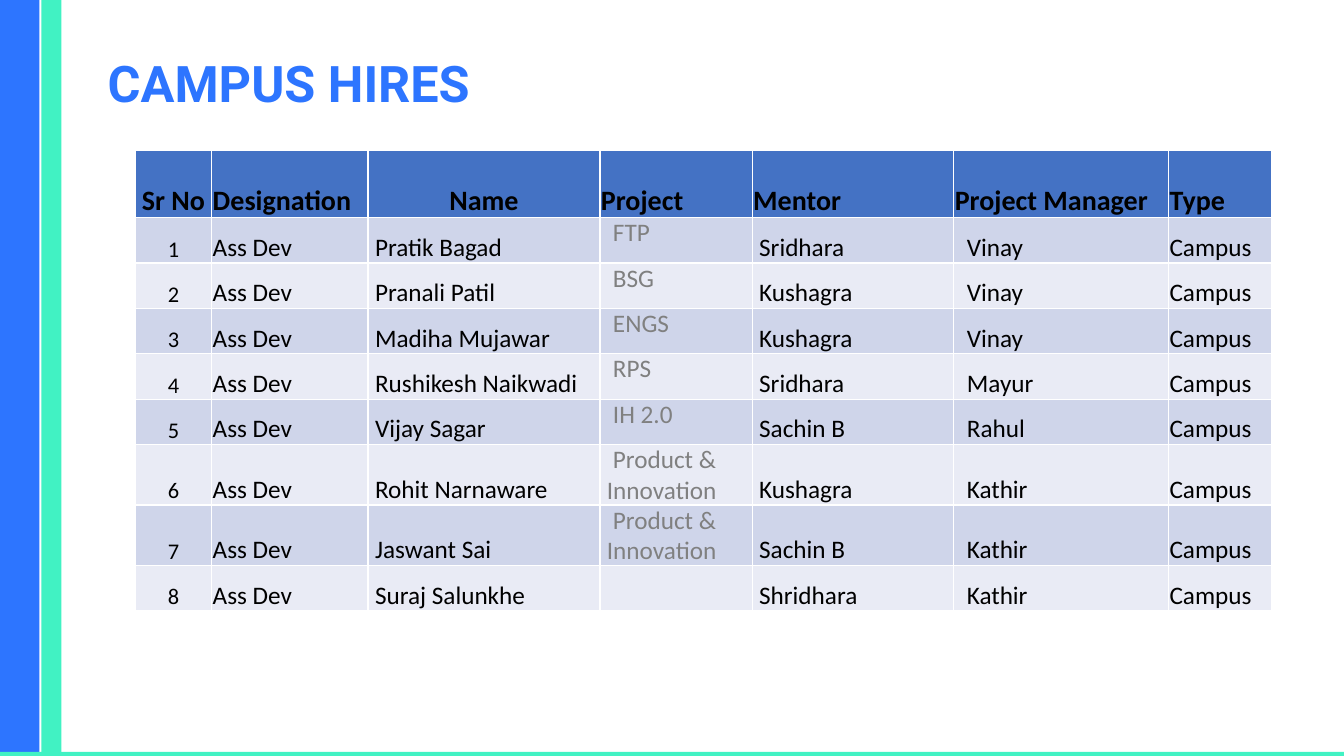
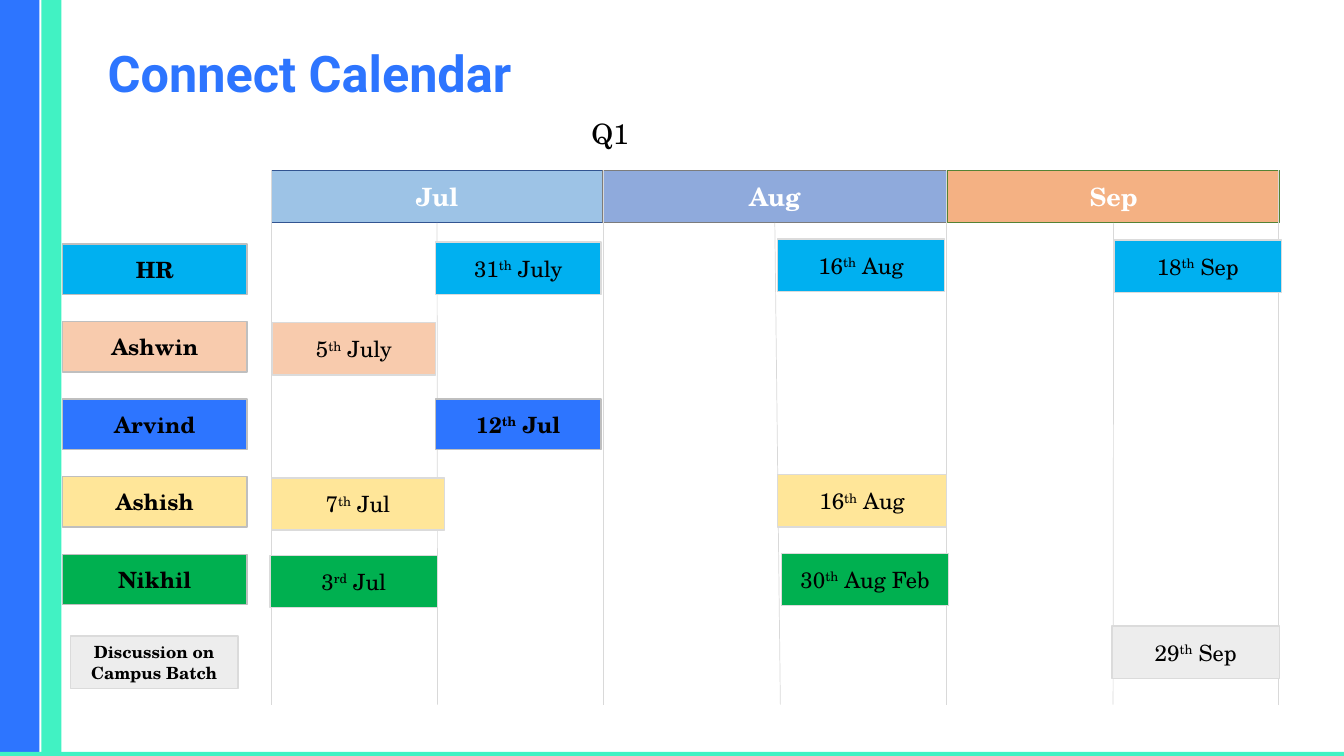
import dataclasses

import pptx
import pptx.dml.color
import pptx.enum.shapes
import pptx.enum.text
import pptx.oxml
import pptx.oxml.ns
import pptx.util

Inches = pptx.util.Inches
ALIGN = pptx.enum.text.PP_ALIGN
ANCHOR = pptx.enum.text.MSO_ANCHOR


@dataclasses.dataclass(frozen=True)
class Theme:
    blue: str = "2D75FF"
    mint: str = "41F2C3"
    white: str = "FFFFFF"
    black: str = "000000"
    gray: str = "808080"
    header: str = "4472C4"
    stripes: tuple = ("CFD5EA", "E9EBF5")
    grid: str = "D9D9D9"
    name_line: str = "BFBFBF"
    event_line: str = "DBDBDB"
    sky: str = "00B0F0"
    peach: str = "F8CBAD"
    yellow: str = "FFE699"
    green: str = "00B050"
    silver: str = "EDEDED"
    title_font: str = "Roboto"
    table_font: str = "Calibri"
    calendar_font: str = "TeX Gyre Schola"
    title_size: int = 36
    large: int = 20
    medium: int = 18
    small: int = 16
    note: int = 12


theme = Theme()


def rgb(code):
    return pptx.dml.color.RGBColor.from_string(code)


def write(frame, parts, font, size, color=theme.black, bold=False, align=ALIGN.CENTER):
    """Fill the first paragraph with one run per part; a second part is superscript."""
    para = frame.paragraphs[0]
    para.alignment = align
    for index, part in enumerate(parts):
        span = para.add_run()
        span.text = part
        span.font.name = font
        span.font.size = pptx.util.Pt(size)
        span.font.bold = bold
        span.font.color.rgb = rgb(color)
        if index == 1:
            span._r.get_or_add_rPr().set("baseline", "30000")
    return para


deck = pptx.Presentation()
deck.slide_width, deck.slide_height = Inches(13.33), Inches(7.5)
pages = []

# Bands and titles
bands = [
    (0, 0, 0.39, 7.5, theme.blue),
    (0.41, 0, 0.2, 7.5, theme.mint),
    (0, 7.46, 13.33, 0.04, theme.mint),
]
for title, title_top in [("CAMPUS HIRES", 0.35), ("Connect Calendar", 0.26)]:
    page = deck.slides.add_slide(deck.slide_layouts[6])
    pages.append(page)
    for left, top, width, height, color in bands:
        band = page.shapes.add_shape(
            pptx.enum.shapes.MSO_SHAPE.RECTANGLE,
            Inches(left), Inches(top), Inches(width), Inches(height))
        band.shadow.inherit = False
        band.fill.solid()
        band.fill.fore_color.rgb = rgb(color)
        band.line.fill.background()
    box = page.shapes.add_textbox(Inches(0.97), Inches(title_top), Inches(6.78), Inches(0.82))
    box.text_frame.word_wrap = True
    box.text_frame.vertical_anchor = ANCHOR.BOTTOM
    para = write(box.text_frame, [title], theme.title_font, theme.title_size,
                 theme.blue, True, ALIGN.LEFT)
    para.line_spacing = 0.9

hires_page, calendar_page = pages

# Campus hires table
headings = ["Sr No", "Designation", "Name", "Project", "Mentor", "Project Manager", "Type"]
hires = [
    ("Pratik Bagad", "FTP", "Sridhara", "Vinay"),
    ("Pranali Patil", "BSG", "Kushagra", "Vinay"),
    ("Madiha Mujawar", "ENGS", "Kushagra", "Vinay"),
    ("Rushikesh Naikwadi", "RPS", "Sridhara", "Mayur"),
    ("Vijay Sagar", "IH 2.0", "Sachin B", "Rahul"),
    ("Rohit Narnaware", "Product & Innovation", "Kushagra", "Kathir"),
    ("Jaswant Sai", "Product & Innovation", "Sachin B", "Kathir"),
    ("Suraj Salunkhe", "", "Shridhara", "Kathir"),
]
rows = [headings] + [
    (str(number), "Ass Dev", *hire, "Campus") for number, hire in enumerate(hires, 1)]
widths = [0.76, 1.55, 2.3, 1.51, 2, 2.13, 1.02]
number_column, name_column, project_column, manager_column = 0, 2, 3, 5

table = hires_page.shapes.add_table(
    len(rows), len(headings), Inches(1.34), Inches(1.49),
    Inches(sum(widths)), Inches(4.27)).table
for column, width in zip(table.columns, widths):
    column.width = Inches(width)
for row_index, values in enumerate(rows):
    is_header = row_index == 0
    table.rows[row_index].height = Inches(0.67 if is_header else 0.45)
    for column_index, value in enumerate(values):
        cell = table.cell(row_index, column_index)
        cell.fill.solid()
        cell.fill.fore_color.rgb = rgb(
            theme.header if is_header else theme.stripes[(row_index - 1) % 2])
        padded = not is_header and name_column <= column_index <= manager_column
        is_project = not is_header and column_index == project_column
        cell.margin_left = cell.margin_right = Inches(0.07 if padded else 0.01)
        cell.margin_top = Inches(0 if padded else 0.01)
        cell.margin_bottom = 0
        cell.vertical_anchor = ANCHOR.TOP if is_project else ANCHOR.BOTTOM
        if not value:
            continue
        is_number = column_index == number_column
        centered = is_number or (is_header and column_index == name_column)
        size = theme.large if is_header else theme.small if is_number else theme.medium
        para = write(cell.text_frame, [value], theme.table_font, size,
                     theme.gray if is_project else theme.black, is_header,
                     ALIGN.CENTER if centered else ALIGN.LEFT)
        if is_project or (padded and column_index == manager_column):
            para._p.get_or_add_pPr().set("indent", str(Inches(0.06)))

# Calendar: month headers, name labels, then events over the grid
months = [
    (2.69, 1.69, 3.29, 0.52, "9DC3E6", "325491", ["Jul"], theme.medium, theme.white, True),
    (5.98, 1.69, 3.41, 0.52, "8FAADC", "7C7C7C", ["Aug"], theme.medium, theme.white, True),
    (9.4, 1.69, 3.29, 0.52, "F4B183", "548235", ["Sep"], theme.medium, theme.white, True),
]
people = [("HR", theme.sky), ("Ashwin", theme.peach), ("Arvind", theme.blue),
          ("Ashish", theme.yellow), ("Nikhil", theme.green)]
labels = [
    (0.62, 2.42 + 0.77 * index, 1.83, 0.5, color, theme.name_line, [name],
     theme.small, theme.black, True)
    for index, (name, color) in enumerate(people)]
labels.append((0.7, 6.31, 1.66, 0.52, theme.silver, theme.event_line,
               ["Discussion on Campus Batch"], theme.note, theme.black, True))
dates = [
    (4.32, 2.4, 1.64, theme.sky, ["31", "th", " July"]),
    (7.71, 2.37, 1.66, theme.sky, ["16", "th", " Aug"]),
    (11.05, 2.38, 1.66, theme.sky, ["18", "th", " Sep"]),
    (2.7, 3.2, 1.62, theme.peach, ["5", "th", " July"]),
    (2.69, 4.74, 1.72, theme.yellow, ["7", "th", " Jul"]),
    (7.71, 4.71, 1.68, theme.yellow, ["16", "th", " Aug"]),
    (2.68, 5.51, 1.66, theme.green, ["3", "rd", " Jul"]),
    (7.75, 5.49, 1.66, theme.green, ["30", "th", " Aug Feb"]),
    (11.03, 6.21, 1.66, theme.silver, ["29", "th", " Sep"]),
]
events = [
    (left, top, width, 0.52, color, theme.event_line, parts, theme.small, theme.black, False)
    for left, top, width, color, parts in dates]
events.append((4.32, 3.96, 1.64, 0.5, theme.blue, theme.name_line,
               ["12", "th", " Jul"], theme.small, theme.black, True))

quarter = calendar_page.shapes.add_textbox(
    Inches(2.96), Inches(1.11), Inches(6.18), Inches(0.44))
quarter.text_frame.word_wrap = True
write(quarter.text_frame, ["Q1"], theme.calendar_font, theme.large)

# Each grid line: start x, start y, end x, index of the month it hangs from
grid_lines = [
    (2.69, 1.69, 2.69, None), (4.34, 2.21, 4.34, 0), (5.98, 1.69, 5.98, None),
    (7.69, 2.21, 7.74, 1), (9.39, 1.69, 9.39, None), (11.04, 2.21, 11.04, 2),
    (12.68, 1.69, 12.68, None),
]
month_boxes = []
for layer in (months, labels, events):
    if layer is events:
        for start, top, end, month in grid_lines:
            line = calendar_page.shapes.add_connector(
                pptx.enum.shapes.MSO_CONNECTOR.STRAIGHT,
                Inches(start), Inches(top), Inches(end), Inches(6.99))
            line.line.color.rgb = rgb(theme.grid)
            line.line.width = pptx.util.Pt(0.5)
            line._element.spPr.append(pptx.oxml.parse_xml(
                f'<a:effectLst {pptx.oxml.ns.nsdecls("a")}/>'))
            if month is not None:
                line.begin_connect(month_boxes[month], 2)
    for left, top, width, height, fill, outline, parts, size, color, bold in layer:
        box = calendar_page.shapes.add_shape(
            pptx.enum.shapes.MSO_SHAPE.RECTANGLE,
            Inches(left), Inches(top), Inches(width), Inches(height))
        box.shadow.inherit = False
        box.fill.solid()
        box.fill.fore_color.rgb = rgb(fill)
        box.line.color.rgb = rgb(outline)
        box.line.width = pptx.util.Pt(1)
        box.text_frame.word_wrap = True
        box.text_frame.vertical_anchor = ANCHOR.MIDDLE
        write(box.text_frame, parts, theme.calendar_font, size, color, bold)
        if layer is months:
            month_boxes.append(box)

deck.save("out.pptx")
